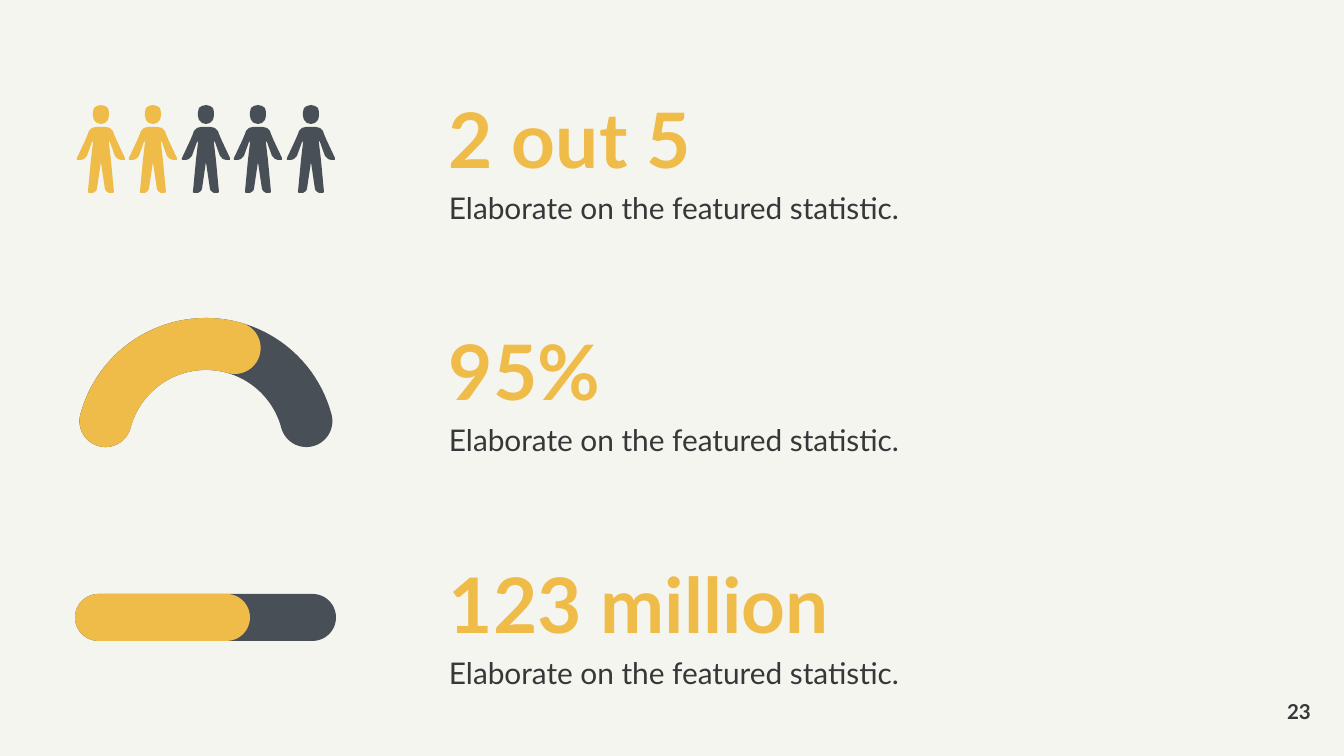
from dataclasses import dataclass
from math import cos, radians, sin

from pptx import Presentation
from pptx.dml.color import RGBColor as RGB
from pptx.enum.shapes import MSO_SHAPE as Preset
from pptx.enum.text import MSO_ANCHOR as Anchor, MSO_AUTO_SIZE as AutoSize, PP_ALIGN as Align
from pptx.util import Emu, Pt

EMU_PER_PX = 914400 / 134.4


@dataclass(frozen=True)
class Theme:
    background: RGB = RGB(0xF5, 0xF5, 0xEF)
    accent: RGB = RGB(0xEF, 0xBC, 0x49)
    dark: RGB = RGB(0x49, 0x4F, 0x56)
    ink: RGB = RGB(0x36, 0x37, 0x39)
    font: str = "Lato"
    figure_size: int = 41
    body_size: int = 16
    number_size: int = 11


def px(length):
    return Emu(round(length * EMU_PER_PX))


def mirrored(right_half):
    """Close an outline by reflecting its right half across x = 0."""
    return right_half + [(-x, y) for x, y in reversed(right_half)]


HEAD = mirrored([(0, 0), (4, 1), (7, 3), (8, 7), (8, 11), (7, 15), (4, 18), (0, 19)])
BODY = mirrored([
    (5, 22), (9, 23), (12, 26), (13, 29), (16, 36), (24, 53), (24, 55),
    (20, 55), (17, 54), (14, 51), (9, 37), (8, 36), (8, 38), (10, 55),
    (13, 87), (12, 88), (8, 88), (5, 86), (4, 84), (0, 57),
])


def arc_points(center, radius, start, end):
    """Points every 3 degrees or so; angles run counterclockwise from the right."""
    steps = max(1, round(abs(end - start) / 3))
    angles = [radians(start + (end - start) * i / steps) for i in range(steps + 1)]
    return [(center[0] + radius * cos(a), center[1] - radius * sin(a)) for a in angles]


class StatSlide:
    def __init__(self, deck, theme):
        self.theme = theme
        self.slide = deck.slides.add_slide(deck.slide_layouts[6])
        fill = self.slide.background.fill
        fill.solid()
        fill.fore_color.rgb = theme.background

    def paint(self, shape, color):
        shape.shadow.inherit = False
        shape.fill.solid()
        shape.fill.fore_color.rgb = color
        shape.line.fill.background()

    def text(self, words, left, top, width, height, size, color, bold=False,
             spacing=None, align=Align.LEFT, anchor=Anchor.TOP, grow=True):
        frame = self.slide.shapes.add_textbox(px(left), px(top), px(width), px(height)).text_frame
        frame.margin_left = frame.margin_right = frame.margin_top = frame.margin_bottom = 0
        frame.word_wrap = True
        frame.auto_size = AutoSize.SHAPE_TO_FIT_TEXT if grow else AutoSize.NONE
        frame.vertical_anchor = anchor
        line = frame.paragraphs[0]
        line.text = words
        line.alignment = align
        line.line_spacing = spacing
        line.font.name = self.theme.font
        line.font.size = Pt(size)
        line.font.bold = bold
        line.font.color.rgb = color

    def outline(self, contours, color):
        first, *others = [[(px(x), px(y)) for x, y in contour] for contour in contours]
        builder = self.slide.shapes.build_freeform(*first[0])
        builder.add_line_segments(first[1:])
        for contour in others:
            builder.move_to(*contour[0])
            builder.add_line_segments(contour[1:])
        self.paint(builder.convert_to_shape(), color)

    def people(self, centers, top, color):
        self.outline([[(center + x, top + y) for x, y in part]
                      for center in centers for part in (HEAD, BODY)], color)

    def gauge(self, center, radius, half_width, start, end, color):
        """Draw a clockwise band with round ends."""
        start_cap, = arc_points(center, radius, start, start)[:1]
        end_cap, = arc_points(center, radius, end, end)[:1]
        self.outline([
            arc_points(center, radius + half_width, start, end)
            + arc_points(end_cap, half_width, end, end - 180)
            + arc_points(center, radius - half_width, end, start)
            + arc_points(start_cap, half_width, start + 180, start)
        ], color)

    def bar(self, left, top, width, height, color):
        pill = self.slide.shapes.add_shape(
            Preset.ROUNDED_RECTANGLE, px(left), px(top), px(width), px(height))
        pill.adjustments[0] = 0.5
        self.paint(pill, color)

    def statistic(self, figure, detail, top):
        theme = self.theme
        self.text(figure, 449, top, 668, 93, theme.figure_size, theme.accent,
                  bold=True, spacing=1.2)
        self.text(detail, 449, top + 101, 668, 36, theme.body_size, theme.ink, spacing=1.4)


def main():
    deck = Presentation()
    deck.slide_width, deck.slide_height = px(1344), px(756)
    theme = Theme()
    page = StatSlide(deck, theme)

    for row, figure in enumerate(["2 out 5", "95%", "123 million"]):
        page.statistic(figure, "Elaborate on the featured statistic.", 74 + row * 465 // 2)

    for end_angle, color in [(15, theme.dark), (74, theme.accent)]:
        page.gauge((206, 448), 104, 26, 165, end_angle, color)

    for width, color in [(261, theme.dark), (175, theme.accent)]:
        page.bar(75, 594, width, 47, color)

    centers = [101 + person * 105 // 2 for person in range(5)]
    page.people(centers[:2], 105, theme.accent)
    page.people(centers[2:], 105, theme.dark)

    page.text("23", 1231, 698, 80, 27, theme.number_size, theme.ink, bold=True,
              align=Align.RIGHT, anchor=Anchor.MIDDLE, grow=False)
    deck.save("out.pptx")


if __name__ == "__main__":
    main()
